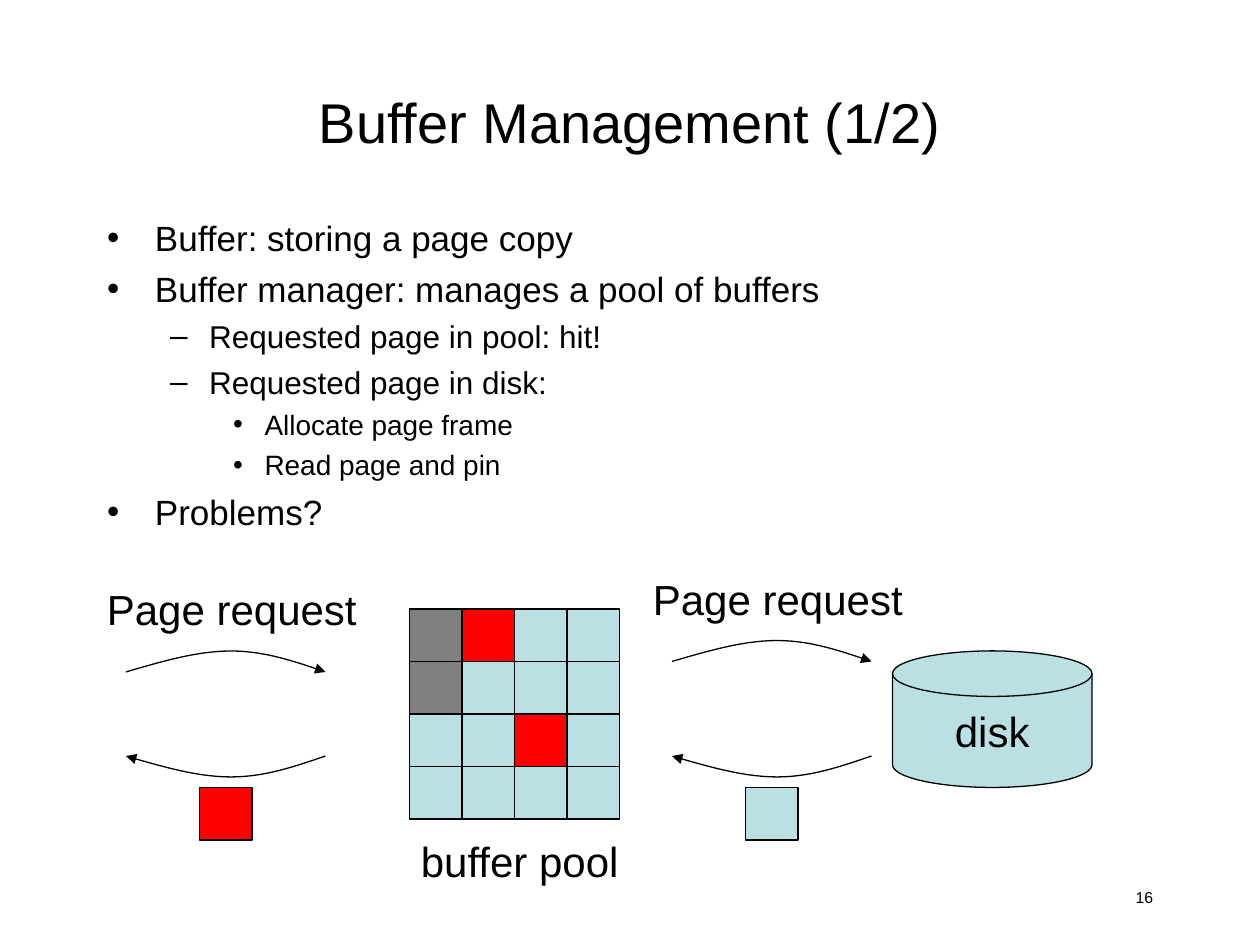
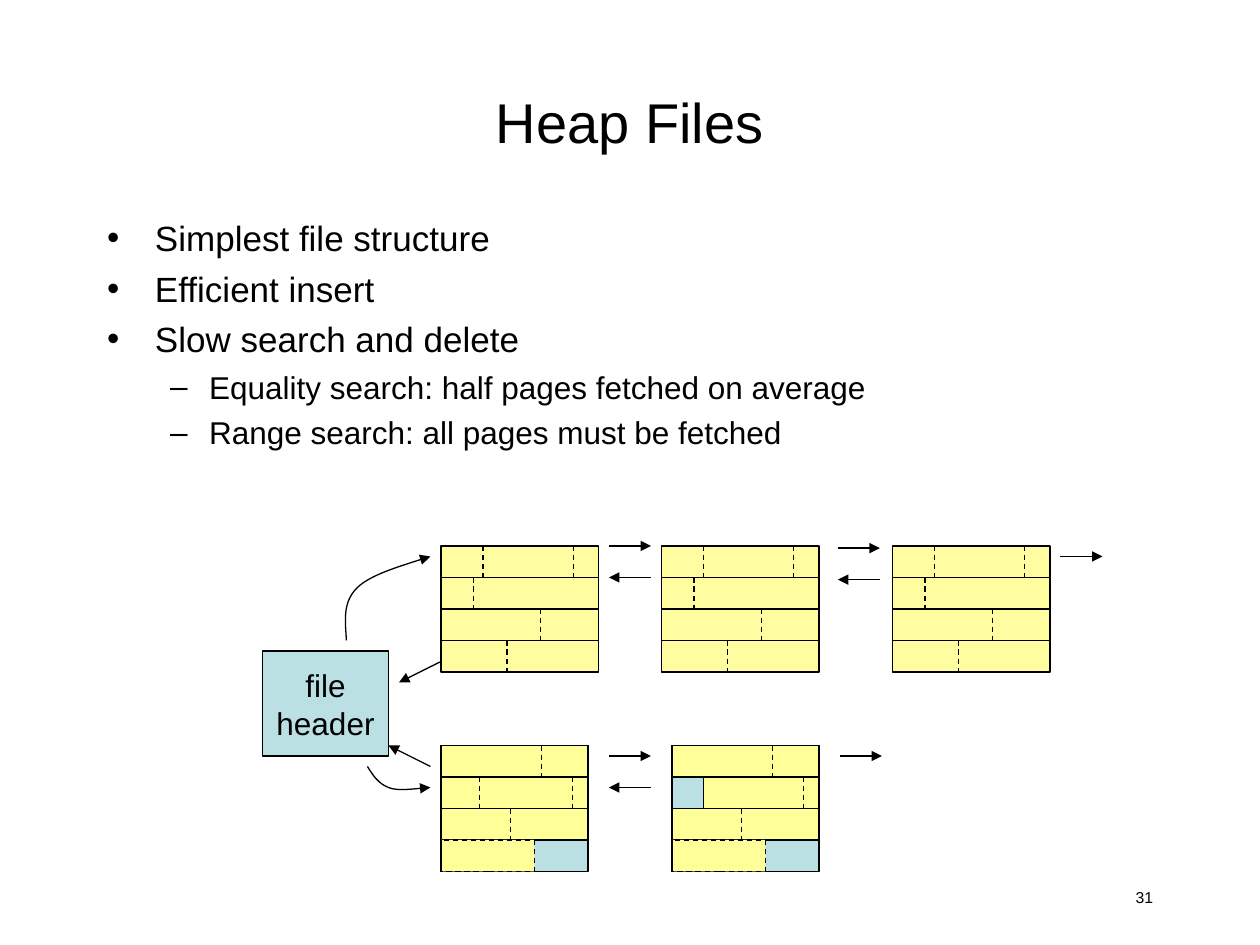
import pptx
import pptx.util
import pptx.dml.color
import pptx.enum.dml
import pptx.enum.shapes
import pptx.enum.text
import pptx.oxml
import pptx.oxml.ns
import lxml.etree

# Shared style: the slide is a grid of 120 columns by 90 rows
COLUMNS, ROWS = 120, 90
UNIT = pptx.util.Inches(10) // COLUMNS
FONT = "Arial"
COLORS = {
    "ink": "000000",
    "page": "BBE0E3",
    "taken": "808080",
    "pinned": "FF0000",
    "full": "FFFDA0",
    "record": "FFFF99",
}
SHAPES = pptx.enum.shapes.MSO_SHAPE
ALIGN = pptx.enum.text.PP_ALIGN
ANCHOR = pptx.enum.text.MSO_ANCHOR

# Bullet levels: sign, left margin and hang in inches, size, space before
LEVELS = [
    ("•", 0.38, 0.38, 20, 5),
    ("–", 0.81, 0.31, 18, 4.5),
    ("•", 1.25, 0.25, 16, 4),
]


def grid(*lengths):
    return [round(length * UNIT) for length in lengths]


def rgb(name):
    return pptx.dml.color.RGBColor.from_string(COLORS[name])


def write(frame, lines, size=24, align=ALIGN.LEFT, anchor=ANCHOR.TOP, wrap=True):
    """Fill a text frame, one paragraph per line."""
    frame.word_wrap = wrap
    frame.auto_size = pptx.enum.text.MSO_AUTO_SIZE.NONE
    frame.vertical_anchor = anchor
    for number, line in enumerate(lines):
        paragraph = frame.add_paragraph() if number else frame.paragraphs[0]
        paragraph.text = line
        paragraph.alignment = align
        font = paragraph.font
        font.name, font.size = FONT, pptx.util.Pt(size)
        font.color.rgb = rgb("ink")


def add_label(slide, text, box, **text_format):
    label = slide.shapes.add_textbox(*grid(*box))
    write(label.text_frame, [text], **text_format)


def style_line(line, dashed=False):
    line.color.rgb = rgb("ink")
    line.width = pptx.util.Pt(0.75)
    if dashed:
        line.dash_style = pptx.enum.dml.MSO_LINE.DASH


def add_arrowhead(line, end):
    head = pptx.oxml.parse_xml(
        f'<a:{end} {pptx.oxml.ns.nsdecls("a")} type="triangle"/>')
    line._get_or_add_ln().append(head)


def add_block(slide, box, color, kind=SHAPES.RECTANGLE, dashed=False):
    block = slide.shapes.add_shape(kind, *grid(*box))
    block.shadow.inherit = False
    block.fill.solid()
    block.fill.fore_color.rgb = rgb(color)
    style_line(block.line, dashed)
    return block


def add_line(slide, start, end, dashed=False, arrow=False):
    line = slide.shapes.add_connector(
        pptx.enum.shapes.MSO_CONNECTOR.STRAIGHT, *grid(*start, *end))
    lxml.etree.SubElement(line._element.spPr, pptx.oxml.ns.qn("a:effectLst"))
    # The line properties must come before the effects
    style_line(line.line, dashed)
    if arrow:
        add_arrowhead(line.line, "tailEnd")


def bezier(points, steps=14):
    """Points along joined cubic curves."""
    track = [points[0]]
    for first in range(0, len(points) - 1, 3):
        a, b, c, d = points[first:first + 4]
        for step in range(1, steps + 1):
            t = step / steps
            u = 1 - t
            weights = (u ** 3, 3 * u * u * t, 3 * u * t * t, t ** 3)
            track.append(tuple(
                sum(w * p[axis] for w, p in zip(weights, (a, b, c, d)))
                for axis in (0, 1)))
    return track


def add_curve(slide, points, end="tailEnd"):
    track = [grid(*point) for point in bezier(points)]
    builder = slide.shapes.build_freeform(*track[0], scale=1.0)
    builder.add_line_segments(track[1:], close=False)
    curve = builder.convert_to_shape()
    curve.shadow.inherit = False
    curve.fill.background()
    style_line(curve.line)
    add_arrowhead(curve.line, end)


def place(shape, box):
    shape.left, shape.top, shape.width, shape.height = grid(*box)


def set_bullet(paragraph, level, first):
    sign, margin, hang, size, before = LEVELS[level]
    paragraph.level = level
    properties = paragraph._p.get_or_add_pPr()
    properties.set("marL", str(pptx.util.Inches(margin)))
    properties.set("indent", str(-pptx.util.Inches(hang)))
    ns = pptx.oxml.ns.nsdecls("a")
    for xml in (f'<a:buClr {ns}><a:srgbClr val="{COLORS["ink"]}"/></a:buClr>',
                f'<a:buFont {ns} typeface="{FONT}"/>',
                f'<a:buChar {ns} char="{sign}"/>'):
        properties.append(pptx.oxml.parse_xml(xml))
    paragraph.space_before = pptx.util.Pt(0 if first else before)
    paragraph.font.name = FONT
    paragraph.font.size = pptx.util.Pt(size)
    paragraph.font.color.rgb = rgb("ink")


def add_content_slide(deck, title, points, number):
    """Title, bullet list and page number."""
    slide = deck.slides.add_slide(deck.slide_layouts[1])
    heading, body = slide.placeholders[0], slide.placeholders[1]
    place(heading, (9, 4, 102, 15))
    write(heading.text_frame, [title], size=32, align=ALIGN.CENTER,
          anchor=ANCHOR.MIDDLE)
    place(body, (9, 20, 102, 62))
    write(body.text_frame, [text for _, text in points])
    for index, (level, _) in enumerate(points):
        set_bullet(body.text_frame.paragraphs[index], level, index == 0)
    add_label(slide, number, (86, 84, 25, 4), size=9, align=ALIGN.RIGHT)
    return slide


# Buffer management diagram
def draw_pool(slide, left, top, cell=5):
    pool = [
        ("taken", "pinned", "page", "page"),
        ("taken", "page", "page", "page"),
        ("page", "page", "pinned", "page"),
        ("page", "page", "page", "page"),
    ]
    for row, states in enumerate(pool):
        for column, state in enumerate(states):
            add_block(slide, (left + column * cell, top + row * cell, cell, cell), state)
    add_label(slide, "buffer pool", (left - 5, top + 21, 31, 6),
              align=ALIGN.CENTER, anchor=ANCHOR.MIDDLE)


def draw_exchange(slide, left, request_top, return_top, returned):
    """A request going right and a page coming back."""
    arc = [(0, 0), (3.4, 1), (6.8, 2), (10, 2), (13.2, 2), (16.1, 1), (19, 0)]
    add_label(slide, "Page request", (left - 3, request_top, 29, 6))
    add_curve(slide, [(left + x, request_top + 9 - y) for x, y in arc])
    add_curve(slide, [(left + x, return_top + y) for x, y in arc], end="headEnd")
    add_block(slide, (left + 7, return_top + 3, 5, 5), returned)


def draw_disk(slide, box):
    disk = add_block(slide, box, "page", SHAPES.FLOWCHART_MAGNETIC_DISK)
    write(disk.text_frame, ["disk"], align=ALIGN.CENTER, anchor=ANCHOR.MIDDLE, wrap=False)


# Heap file diagram
def draw_dividers(slide, left, top, rows, height=3):
    for row, offsets in enumerate(rows):
        y = top + row * height
        for offset in offsets:
            add_line(slide, (left + offset, y), (left + offset, y + height), dashed=True)


def draw_full_page(slide, left, top, width=15, height=12):
    add_block(slide, (left, top, width, height), "full")
    for y in range(top + 3, top + height, 3):
        add_line(slide, (left, y), (left + width, y))
    draw_dividers(slide, left, top, [(4, 12.6), (3.1,), (9.5,), (6.3,)])


def draw_free_page(slide, left, top, gap, second_row, width=14):
    """A page with free space at its end and before its second row."""
    add_block(slide, (left, top, width, 12), "page")
    for row, indent in enumerate((0, gap, 0)):
        add_block(slide, (left + indent, top + 3 * row, width - indent, 3), "record")
    add_block(slide, (left, top + 9, 8.9, 3), "record", dashed=True)
    add_line(slide, (left, top + 9), (left, top + 12))
    draw_dividers(slide, left, top, [(9.6,), second_row, (6.6,)])


def draw_links(slide, left, top, both=True):
    add_line(slide, (left, top), (left + 4, top), arrow=True)
    if both:
        add_line(slide, (left + 4, top + 3), (left, top + 3), arrow=True)


def draw_header(slide, left, top):
    header = add_block(slide, (left, top, 12, 10), "page")
    write(header.text_frame, ["file", "header"], size=18, align=ALIGN.CENTER,
          anchor=ANCHOR.MIDDLE, wrap=False)
    curves = [
        [(8, -1), (7.9, -2.8), (7.6, -4.6), (9, -6), (10.3, -7.3), (13.2, -8.1), (16, -9)],
        [(17, 1), (17, 1), (15, 2), (13, 3)],
        [(10, 11), (10.5, 11.8), (11, 12.6), (12, 13), (13, 13.4), (14.5, 13.1), (16, 13)],
    ]
    for curve in curves:
        add_curve(slide, [(left + x, top + y) for x, y in curve])
    add_line(slide, (left + 16, top + 11), (left + 12, top + 9), arrow=True)


def build_buffer_slide(deck):
    slide = add_content_slide(deck, "Buffer Management (1/2)", [
        (0, "Buffer: storing a page copy"),
        (0, "Buffer manager: manages a pool of buffers"),
        (1, "Requested page in pool: hit!"),
        (1, "Requested page in disk:"),
        (2, "Allocate page frame"),
        (2, "Read page and pin"),
        (0, "Problems?"),
    ], "16")
    draw_pool(slide, 39, 58)
    draw_exchange(slide, 12, 55, 72, "pinned")
    draw_exchange(slide, 64, 54, 72, "page")
    draw_disk(slide, (85, 62, 19, 13))


def build_heap_slide(deck):
    slide = add_content_slide(deck, "Heap Files", [
        (0, "Simplest file structure"),
        (0, "Efficient insert"),
        (0, "Slow search and delete"),
        (1, "Equality search: half pages fetched on average"),
        (1, "Range search: all pages must be fetched"),
    ], "31")
    for left in (42, 63, 85):
        draw_full_page(slide, left, 52)
    draw_free_page(slide, 42, 71, 0, (3.7, 12.5))
    draw_free_page(slide, 64, 71, 3, (12.5,))
    draw_header(slide, 25, 62)
    for left, top, both in [(58, 52, True), (79.8, 52.2, True), (101, 53, False),
                            (58, 72, True), (80, 72, False)]:
        draw_links(slide, left, top, both)


def main():
    deck = pptx.Presentation()
    deck.slide_width, deck.slide_height = grid(COLUMNS, ROWS)
    build_buffer_slide(deck)
    build_heap_slide(deck)
    deck.save("out.pptx")


if __name__ == "__main__":
    main()
